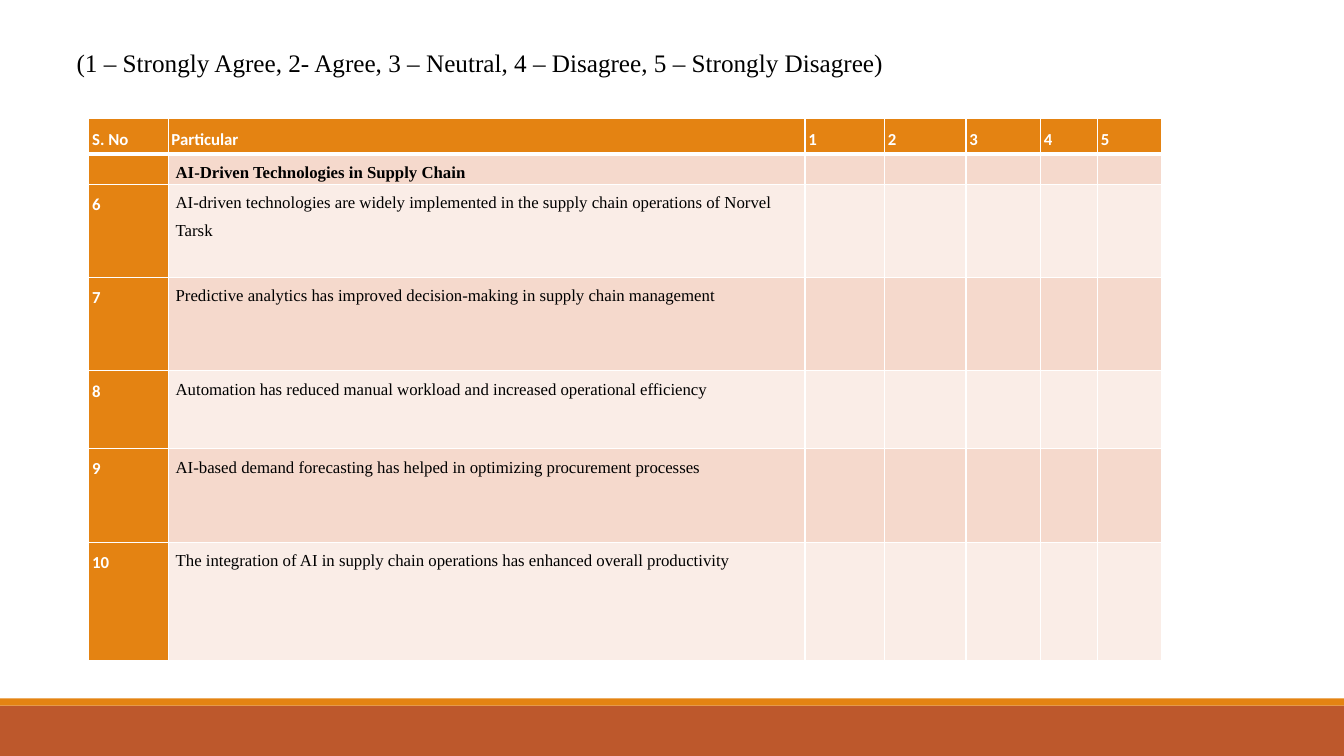
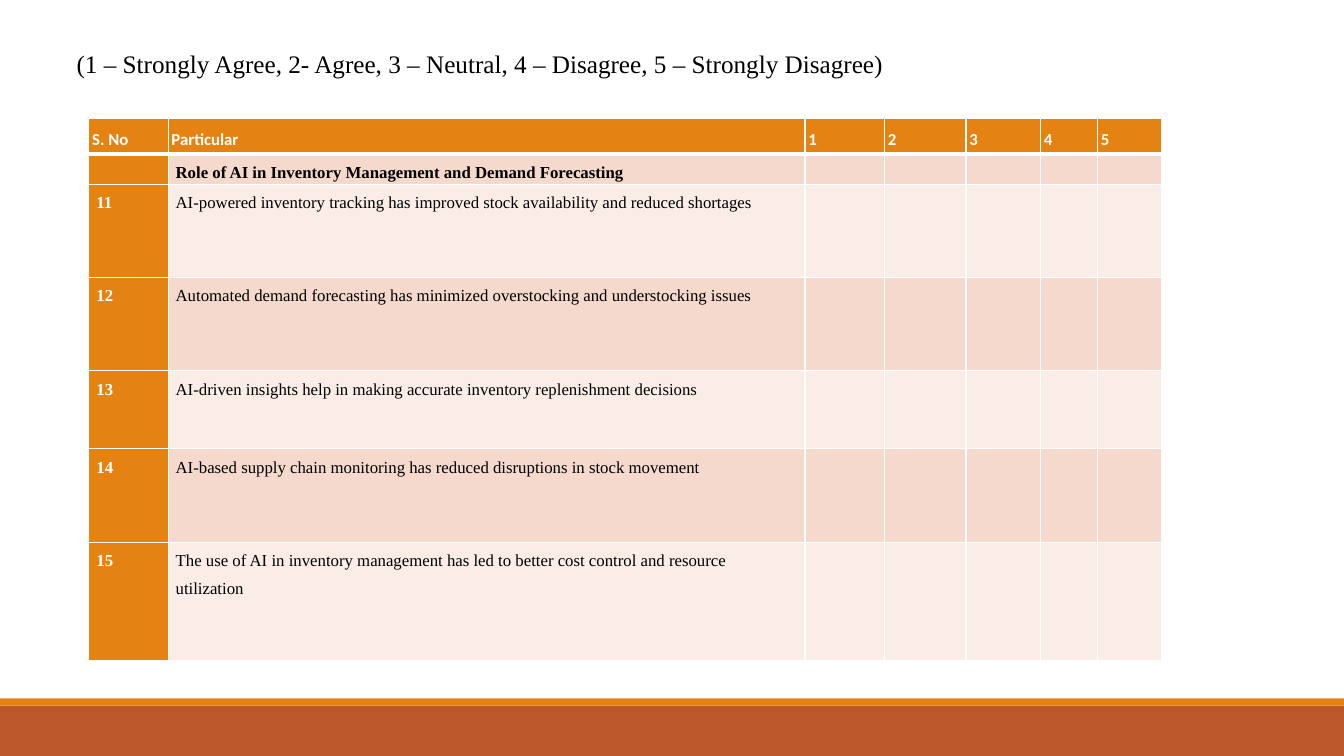
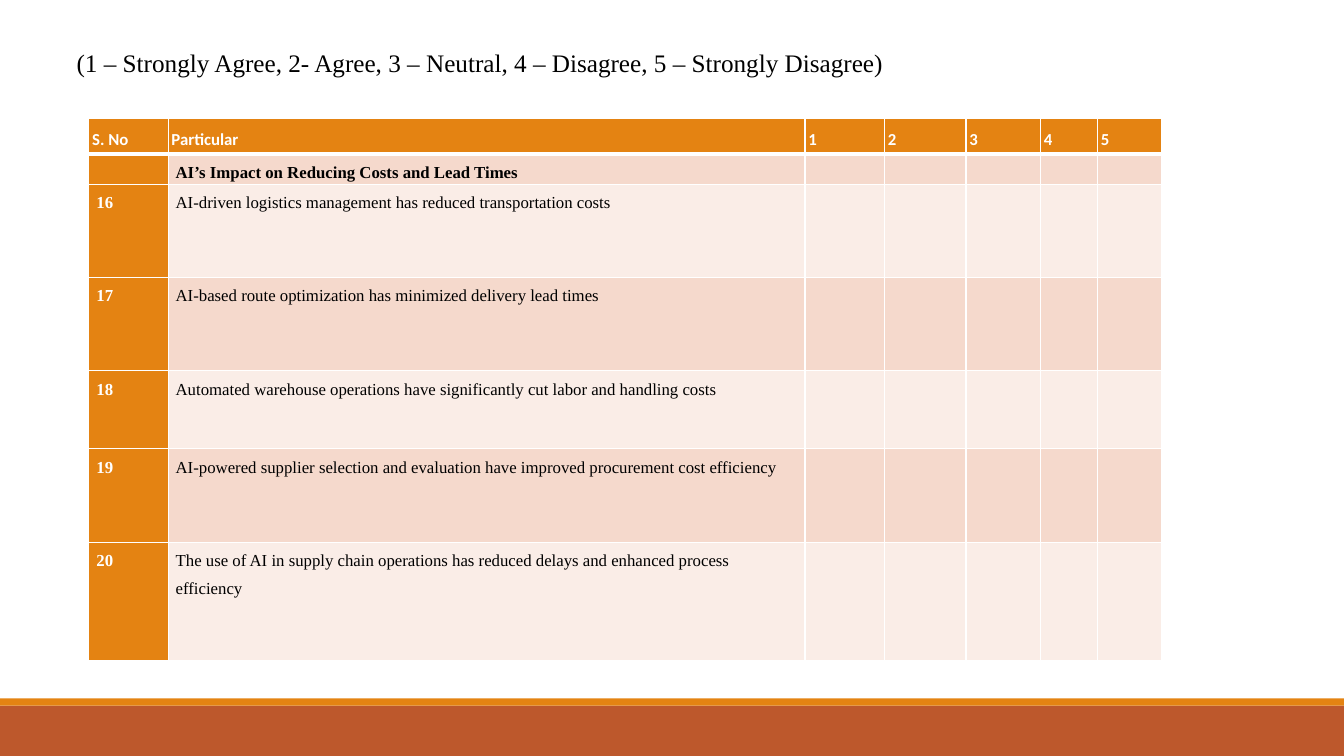
"""Build three survey slides, each a table of statements rated from 1 to 5."""
from dataclasses import dataclass

import lxml.etree
import pptx
import pptx.dml.color
import pptx.enum.shapes
import pptx.enum.text
import pptx.oxml.ns
import pptx.presentation
import pptx.shapes.autoshape
import pptx.slide
import pptx.table
import pptx.text.text
import pptx.util

Pt = pptx.util.Pt
qn = pptx.oxml.ns.qn


@dataclass(frozen=True)
class Theme:
    orange: str = "E48312"
    rust: str = "BD582C"
    blush: str = "F5D9CC"
    pale: str = "FAEDE7"
    white: str = "FFFFFF"
    black: str = "000000"
    serif: str = "Times New Roman"
    sans: str = "Calibri"
    scale_size: float = 18
    table_size: float = 12
    line_spacing: float = 1.5
    space_after: float = 8
    rule: float = 1
    header_rule: float = 3
    narrow_inset: float = 2.4
    wide_inset: float = 5.4


@dataclass(frozen=True)
class TextStyle:
    font: str
    size: float
    color: str
    bold: bool = False
    inset: float = 0


@dataclass(frozen=True)
class Band:
    top: float
    height: float
    color: str


@dataclass(frozen=True)
class Section:
    heading: str
    first_number: int
    statements: tuple[str, ...]
    number_style: TextStyle
    scale_top: float = 19.5


THEME = Theme()
SLIDE_WIDTH, SLIDE_HEIGHT = 960, 540
SCALE = "(1 – Strongly Agree, 2- Agree, 3 – Neutral, 4 – Disagree, 5 – Strongly Disagree)"
HEADER = ("S. No", "Particular", "1", "2", "3", "4", "5")
COLUMN_WIDTHS = (56.6, 455, 56.8, 58.2, 53.2, 40.8, 45.6)
ROW_HEIGHTS = (25, 21.2, 66.7, 66.7, 55.7, 66.7, 84.6)
TABLE_LEFT, TABLE_TOP = 63.5, 84.9
BANDS = (Band(504, 36, THEME.rust), Band(498.8, 5.2, THEME.orange))

SCALE_STYLE = TextStyle(THEME.serif, THEME.scale_size, THEME.black)
HEADER_STYLE = TextStyle(THEME.sans, THEME.table_size, THEME.white, True, THEME.narrow_inset)
SERIF_NUMBER = TextStyle(THEME.serif, THEME.table_size, THEME.white, True, THEME.wide_inset)
HEADING_STYLE = TextStyle(THEME.serif, THEME.table_size, THEME.black, True, THEME.wide_inset)
STATEMENT_STYLE = TextStyle(THEME.serif, THEME.table_size, THEME.black, False, THEME.wide_inset)

SECTIONS = (
    Section("AI-Driven Technologies in Supply Chain", 6, (
        "AI-driven technologies are widely implemented in the supply chain operations of Norvel Tarsk",
        "Predictive analytics has improved decision-making in supply chain management",
        "Automation has reduced manual workload and increased operational efficiency",
        "AI-based demand forecasting has helped in optimizing procurement processes",
        "The integration of AI in supply chain operations has enhanced overall productivity",
    ), HEADER_STYLE),
    Section("Role of AI in Inventory Management and Demand Forecasting", 11, (
        "AI-powered inventory tracking has improved stock availability and reduced shortages",
        "Automated demand forecasting has minimized overstocking and understocking issues",
        "AI-driven insights help in making accurate inventory replenishment decisions",
        "AI-based supply chain monitoring has reduced disruptions in stock movement",
        "The use of AI in inventory management has led to better cost control and resource utilization",
    ), SERIF_NUMBER, scale_top=20.2),
    Section("AI’s Impact on Reducing Costs and Lead Times", 16, (
        "AI-driven logistics management has reduced transportation costs",
        "AI-based route optimization has minimized delivery lead times",
        "Automated warehouse operations have significantly cut labor and handling costs",
        "AI-powered supplier selection and evaluation have improved procurement cost efficiency",
        "The use of AI in supply chain operations has reduced delays and enhanced process efficiency",
    ), SERIF_NUMBER),
)


def rgb(color: str) -> pptx.dml.color.RGBColor:
    return pptx.dml.color.RGBColor.from_string(color)


def write(frame: pptx.text.text.TextFrame, text: str, style: TextStyle) -> None:
    paragraph = frame.paragraphs[0]
    paragraph.alignment = pptx.enum.text.PP_ALIGN.LEFT
    paragraph.line_spacing = THEME.line_spacing
    paragraph.space_after = Pt(THEME.space_after)
    run = paragraph.add_run()
    run.text = text
    run.font.name = style.font
    run.font.size = Pt(style.size)
    run.font.bold = style.bold
    run.font.color.rgb = rgb(style.color)


def add_bands(deck: pptx.presentation.Presentation, slide: pptx.slide.Slide) -> None:
    master_tree = deck.slide_master.shapes.element
    for number, band in enumerate(BANDS):
        stripe = slide.shapes.add_shape(
            pptx.enum.shapes.MSO_SHAPE.RECTANGLE,
            0, Pt(band.top), Pt(SLIDE_WIDTH), Pt(band.height))
        stripe.shadow.inherit = False
        stripe.fill.solid()
        stripe.fill.fore_color.rgb = rgb(band.color)
        stripe.line.fill.background()
        stripe.element.nvSpPr.cNvPr.set("id", str(20 + number))
        master_tree.append(stripe.element)


def add_scale(slide: pptx.slide.Slide, top: float) -> None:
    scale = slide.shapes.title
    scale.left, scale.top, scale.width, scale.height = Pt(47.5), Pt(top), Pt(701), Pt(36.7)
    frame = scale.text_frame
    frame.word_wrap = True
    frame.auto_size = pptx.enum.text.MSO_AUTO_SIZE.SHAPE_TO_FIT_TEXT
    frame.vertical_anchor = pptx.enum.text.MSO_ANCHOR.TOP
    write(frame, SCALE, SCALE_STYLE)


def set_borders(cell: pptx.table._Cell, top: float, bottom: float) -> None:
    properties = cell._tc.get_or_add_tcPr()
    widths = {"a:lnL": THEME.rule, "a:lnR": THEME.rule, "a:lnT": top, "a:lnB": bottom}
    for tag, width in widths.items():
        line = lxml.etree.SubElement(properties, qn(tag), w=str(Pt(width)))
        fill = lxml.etree.SubElement(line, qn("a:solidFill"))
        lxml.etree.SubElement(fill, qn("a:srgbClr"), val=THEME.white)


def fill_cell(cell: pptx.table._Cell, text: str, style: TextStyle, color: str) -> None:
    cell.margin_left = cell.margin_right = Pt(style.inset)
    cell.margin_top = cell.margin_bottom = 0
    cell.fill.solid()
    cell.fill.fore_color.rgb = rgb(color)
    if text:
        write(cell.text_frame, text, style)
    else:
        lxml.etree.SubElement(cell.text_frame.paragraphs[0]._p, qn("a:endParaRPr"),
                              sz=str(round(style.size * 100)))


def add_survey(slide: pptx.slide.Slide, section: Section) -> None:
    rows = [HEADER, ("", section.heading)]
    rows += [(str(number), statement)
             for number, statement in enumerate(section.statements, section.first_number)]
    survey = slide.shapes.add_table(
        len(rows), len(HEADER), Pt(TABLE_LEFT), Pt(TABLE_TOP),
        Pt(sum(COLUMN_WIDTHS)), Pt(sum(ROW_HEIGHTS))).table
    survey.horz_banding = False
    for column, width in zip(survey.columns, COLUMN_WIDTHS):
        column.width = Pt(width)
    for row, height in zip(survey.rows, ROW_HEIGHTS):
        row.height = Pt(height)
    for r, texts in enumerate(rows):
        for c in range(len(HEADER)):
            if r == 0:
                style = HEADER_STYLE
            elif c == 0:
                style = section.number_style
            else:
                style = HEADING_STYLE if r == 1 else STATEMENT_STYLE
            band_color = THEME.blush if r % 2 else THEME.pale
            cell = survey.cell(r, c)
            set_borders(cell, THEME.header_rule if r == 1 else THEME.rule,
                        THEME.header_rule if r == 0 else THEME.rule)
            fill_cell(cell, texts[c] if c < len(texts) else "", style,
                      THEME.orange if r == 0 or c == 0 else band_color)


def main() -> None:
    deck = pptx.Presentation()
    deck.slide_width, deck.slide_height = Pt(SLIDE_WIDTH), Pt(SLIDE_HEIGHT)
    title_only = deck.slide_layouts[5]
    for index, section in enumerate(SECTIONS):
        slide = deck.slides.add_slide(title_only)
        if index == 0:
            add_bands(deck, slide)
        add_scale(slide, section.scale_top)
        add_survey(slide, section)
    deck.save("out.pptx")


if __name__ == "__main__":
    main()
